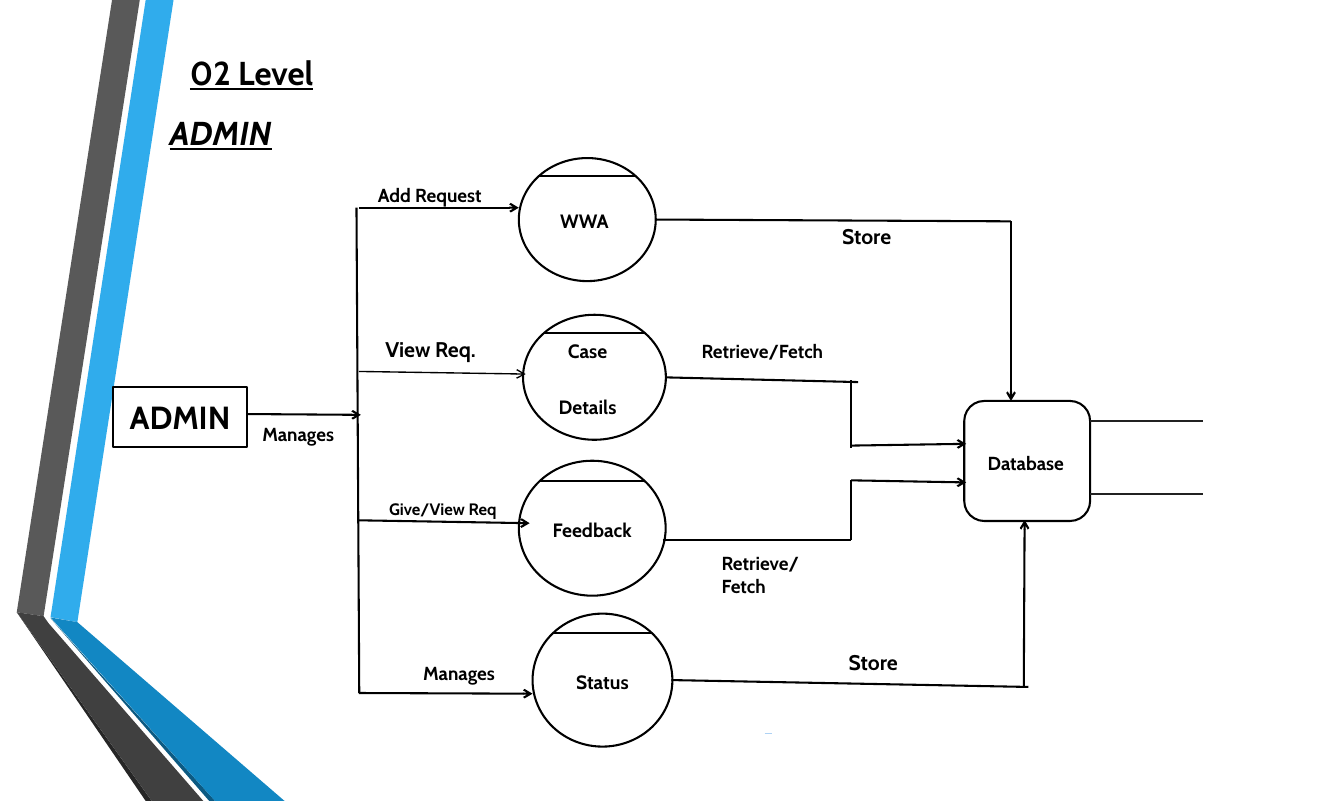
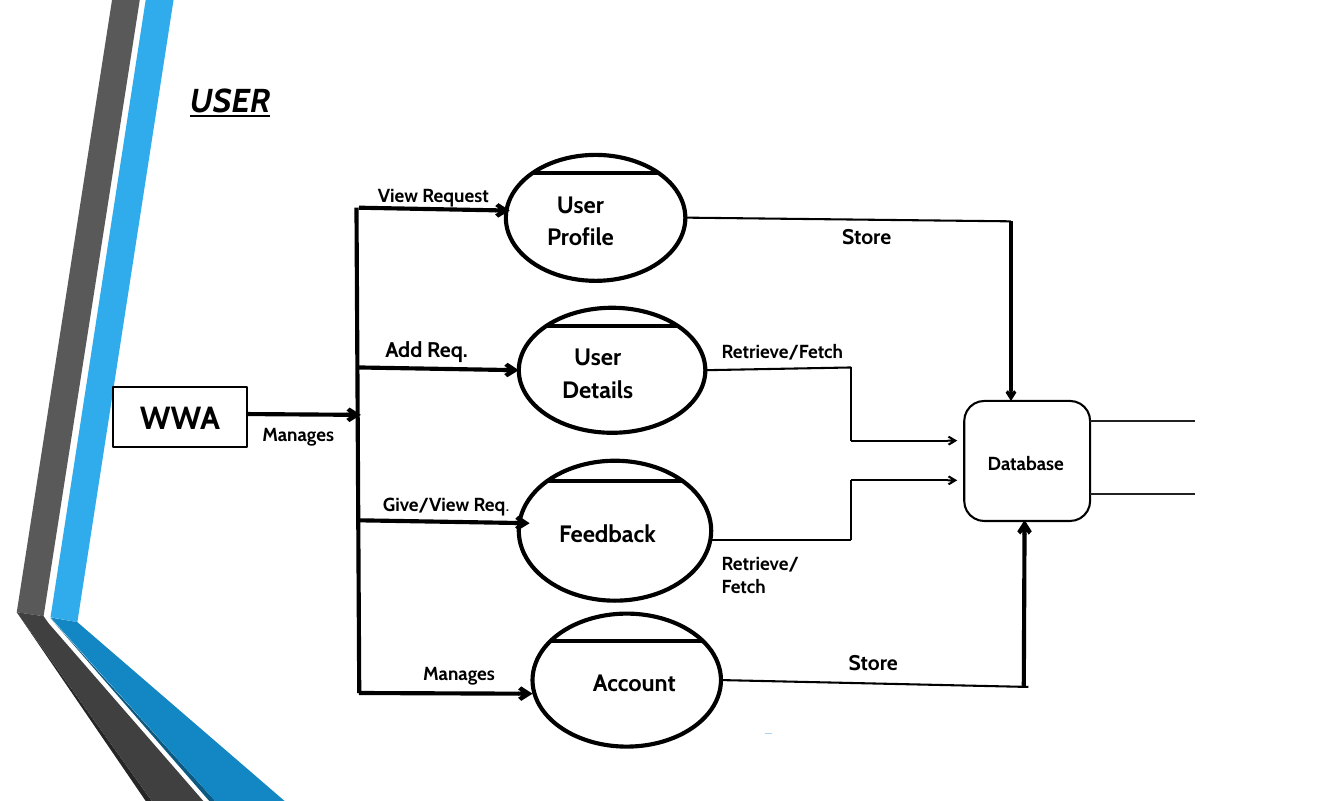
"""Build two data-flow diagram slides, one for the admin and one for the user."""
from math import sqrt

from lxml.etree import SubElement
from pptx import Presentation
from pptx.dml.color import RGBColor
from pptx.enum.shapes import MSO_CONNECTOR as Link, MSO_SHAPE as Form
from pptx.enum.text import MSO_ANCHOR as Anchor, MSO_AUTO_SIZE as Fit, PP_ALIGN as Align
from pptx.oxml.ns import qn
from pptx.util import Pt

COLORS = {
    "ink": "000000", "paper": "FFFFFF", "store": "212121", "dash": "AED2F4",
    "sky": "30ACEC", "blue": "1287C3", "navy": "0C5A82",
    "gray": "595959", "charcoal": "404040", "black": "262626",
}
FONT = "Cabin"
WIDTH, HEIGHT = 975.63, 581.13
LABEL = 13.7
LARGE_LABEL = 15.4

BANDS = [
    ("sky", [(36.7, 447.8), (56.2, 451.4), (126, 0), (105.8, 0)]),
    ("gray", [(101.5, 0), (81.4, 0), (12.2, 444.2), (31.7, 447.1)]),
    ("black", [(12.2, 444.2), (105.8, HEIGHT), (110.2, HEIGHT)]),
    ("navy", [(36.7, 448.6), (151.9, HEIGHT), (156.2, HEIGHT)]),
    ("blue", [(36.7, 448), (156.2, HEIGHT), (206.6, HEIGHT), (56.2, 451.4)]),
    ("charcoal", [(147.6, HEIGHT), (35.3, 452.2), (31.7, 447.1),
                  (12.2, 444.2), (110.2, HEIGHT)]),
]


def rgb(color):
    return RGBColor.from_string(COLORS[color])


class Deck:
    def __init__(self):
        self.prs = Presentation()
        self.prs.slide_width, self.prs.slide_height = Pt(WIDTH), Pt(HEIGHT)
        self.layout = self.prs.slide_layouts[5]
        for holder in list(self.layout.placeholders)[1:]:
            holder.element.getparent().remove(holder.element)
        self.slide = None

    def open_slide(self):
        first = self.slide is None
        self.slide = self.prs.slides.add_slide(self.layout)
        if first:
            self.bands()

    def bands(self):
        outlines = [self.band(color, corners) for color, corners in BANDS]
        for outline in outlines:
            self.layout.shapes.element.append(outline.element)

    def band(self, color, corners):
        start, *rest = [(Pt(x), Pt(y)) for x, y in corners]
        builder = self.slide.shapes.build_freeform(*start, scale=1)
        builder.add_line_segments(rest, close=True)
        outline = builder.convert_to_shape()
        outline.shadow.inherit = False
        outline.fill.solid()
        outline.fill.fore_color.rgb = rgb(color)
        outline.line.fill.background()
        return outline

    def style(self, paragraph, size, align=Align.LEFT, italic=False, underline=False):
        paragraph.alignment = align
        font = paragraph.font
        font.name, font.size, font.bold = FONT, Pt(size), True
        font.italic, font.underline = italic, underline
        font.color.rgb = rgb("ink")

    def frame(self, holder, anchor, margin=0):
        frame = holder.text_frame
        frame.word_wrap, frame.auto_size = True, Fit.NONE
        frame.vertical_anchor = anchor
        frame.margin_left = frame.margin_right = Pt(margin)
        frame.margin_top = frame.margin_bottom = Pt(margin)
        return frame

    def title(self, text, left, top, italic=False):
        heading = self.slide.shapes.title
        heading.left, heading.top = Pt(left), Pt(top)
        heading.width, heading.height = Pt(160), Pt(30)
        frame = self.frame(heading, Anchor.TOP)
        frame.text = text
        self.style(frame.paragraphs[0], 24, italic=italic, underline=True)

    def label(self, text, left, top, size=LABEL, width=100, light_end="", **looks):
        box = self.slide.shapes.add_textbox(Pt(left), Pt(top), Pt(width), Pt(size * 1.25))
        frame = self.frame(box, Anchor.TOP)
        frame.text = text
        paragraph = frame.paragraphs[0]
        self.style(paragraph, size, **looks)
        if light_end:
            ending = paragraph.add_run()
            ending.text = light_end
            ending.font.bold = False

    def node(self, form, box, lines, size, weight=1.5, shift=0, gap=0, spacing=1.15):
        shape = self.slide.shapes.add_shape(form, *map(Pt, box))
        shape.shadow.inherit = False
        shape.fill.solid()
        shape.fill.fore_color.rgb = rgb("paper")
        shape.line.color.rgb = rgb("ink")
        shape.line.width = Pt(weight)
        frame = self.frame(shape, Anchor.MIDDLE, margin=2)
        frame.margin_left = Pt(2 + max(2 * shift, 0))
        frame.margin_right = Pt(2 + max(-2 * shift, 0))
        frame.text = "\n".join(lines)
        for index, paragraph in enumerate(frame.paragraphs):
            self.style(paragraph, size, Align.CENTER)
            paragraph.line_spacing = spacing
            paragraph.space_before = Pt(gap if index else 0)

    def process(self, box, depth, lines, size, weight, shift=0, gap=0):
        self.node(Form.OVAL, box, lines, size, weight, shift, gap)
        left, top, width, height = box
        middle = left + width / 2
        half = width / 2 * sqrt(1 - (1 - 2 * depth / height) ** 2)
        self.flow([(middle - half, top + depth), (middle + half, top + depth)], weight)

    def flow(self, points, weight=1.5, arrow=False, color="ink"):
        for start, end in zip(points, points[1:]):
            line = self.slide.shapes.add_connector(
                Link.STRAIGHT, *map(Pt, start), *map(Pt, end))
            line.line.color.rgb = rgb(color)
            line.line.width = Pt(weight)
            if arrow and end == points[-1]:
                SubElement(line.line._get_or_add_ln(), qn("a:tailEnd"), type="arrow")
            SubElement(line.element.spPr, qn("a:effectLst"))

    def diagram(self, entity, processes, size, weight, branches, requests,
                outlets, drop_weight, fetch_left, store_end):
        self.node(Form.RECTANGLE, (82.1, 281, 97.2, 43.2), [entity], 23.2, spacing=1)
        for box, depth, lines, looks in processes:
            self.process(box, depth, lines, size, weight, **looks)
        self.flow([(178.6, 300.4), (262, 301)], weight, arrow=True)
        self.flow([(258.8, 150.7), (260.8, 502.8)], weight)
        for start_y, end, branch_weight in branches:
            self.flow([(260.6, start_y), end], branch_weight, arrow=True)

        self.node(Form.ROUNDED_RECTANGLE, (700, 290.9, 91.4, 87.1), ["Database"], LABEL,
                  shift=-1)
        profile_out, account_out = outlets
        corner = (733.9, 160.6)
        self.flow([profile_out, corner])
        self.flow([corner, (733.9, 290.9)], drop_weight, arrow=True)
        self.flow([account_out, (746.6, 498.4)])
        self.flow([(743.2, 498.4), (743.8, 377.3)], weight, arrow=True)
        for y in (305.3, 358.2):
            self.flow([(791.5, y), (store_end, y)], color="store")
        self.flow([(555.1, 532.2), (560.2, 532.2)], 0.75, color="dash")

        for text, left, top, looks in requests:
            self.label(text, left, top, **looks)
        self.label("Manages", 190.4, 306.7)
        self.label("Manages", 307.2, 480.4)
        self.label("Store", 611.3, 162, LARGE_LABEL)
        self.label("Store", 616.1, 470.9, LARGE_LABEL)
        self.label("Retrieve/Fetch", fetch_left, 246.2)
        self.label("Retrieve/Fetch", 523.8, 400.6, width=87)


def admin_slide(deck):
    deck.open_slide()
    deck.title("02 Level", 137.9, 38.2)
    deck.label("ADMIN", 123.2, 81.7, 24, italic=True, underline=True)
    deck.diagram(
        entity="ADMIN",
        processes=[
            ((376.6, 114.7, 99.4, 89.3), 12.9, ["WWA"], {"shift": -2}),
            ((379.7, 228.4, 103.7, 90.7), 13, ["Case", "Details"], {"shift": -5, "gap": 21}),
            ((376.6, 334.3, 106.6, 97.9), 14.4, ["Feedback"], {}),
            ((386.6, 445.2, 101.5, 96.5), 14.4, ["Status"], {}),
        ],
        size=14,
        weight=1.5,
        branches=[
            (150.7, (376.6, 150.7), 1.5),
            (269.5, (381.6, 271.4), 1),
            (377.5, (384.5, 379.6), 1.5),
            (502.8, (386.6, 503.3), 1.5),
        ],
        requests=[
            ("Add Request", 274.4, 133, {}),
            ("View Req.", 279.7, 244, {"size": LARGE_LABEL}),
            ("Give/View Req", 282.5, 361.8, {"size": 12}),
        ],
        outlets=[(476, 159.3), (487.4, 493.4)],
        drop_weight=1.5,
        fetch_left=509.3,
        store_end=873.6,
    )
    deck.flow([(483.9, 273.8), (622.9, 277.2)])
    deck.flow([(617.9, 275.8), (617.9, 324.7)])
    deck.flow([(617.2, 323.3), (701.4, 322)], arrow=True)
    deck.flow([(481, 391.9), (617.9, 391.9), (617.9, 348.5), (701.4, 350)], arrow=True)


def user_slide(deck):
    deck.open_slide()
    deck.title("USER", 137.9, 57.6, italic=True)
    deck.diagram(
        entity="WWA",
        processes=[
            ((367.2, 112.4, 130.3, 91.4), 13, ["User", "Profile"], {"shift": -11}),
            ((376.6, 223.3, 135.4, 90.7), 13, ["User", "Details"], {"shift": -10.5}),
            ((376.6, 334.3, 139.7, 101.5), 14.7, ["Feedback"], {"shift": -5.5}),
            ((386.6, 445.2, 136.8, 96.5), 19.8, ["Account"], {"shift": 5.5}),
        ],
        size=17.2,
        weight=3,
        branches=[
            (150.7, (370, 152.8), 3),
            (266.6, (376.6, 268.6), 3),
            (377.5, (384.5, 379.6), 3),
            (502.8, (386.6, 503.3), 3),
        ],
        requests=[
            ("View Request", 274.4, 133, {}),
            ("Add Req.", 279.7, 244, {"size": LARGE_LABEL}),
            ("Give/View Req", 278, 357.2, {"light_end": "."}),
        ],
        outlets=[(497.5, 157.9), (523.4, 493.4)],
        drop_weight=2.25,
        fetch_left=523.8,
        store_end=867.8,
    )
    deck.flow([(511.9, 268.6), (617.9, 266.6), (617.9, 319.7), (694.9, 319.7)], arrow=True)
    deck.flow([(516.2, 391.9), (617.9, 391.9), (617.9, 348.5), (694.9, 348.5)], arrow=True)


def main():
    deck = Deck()
    admin_slide(deck)
    user_slide(deck)
    deck.prs.save("out.pptx")


if __name__ == "__main__":
    main()
